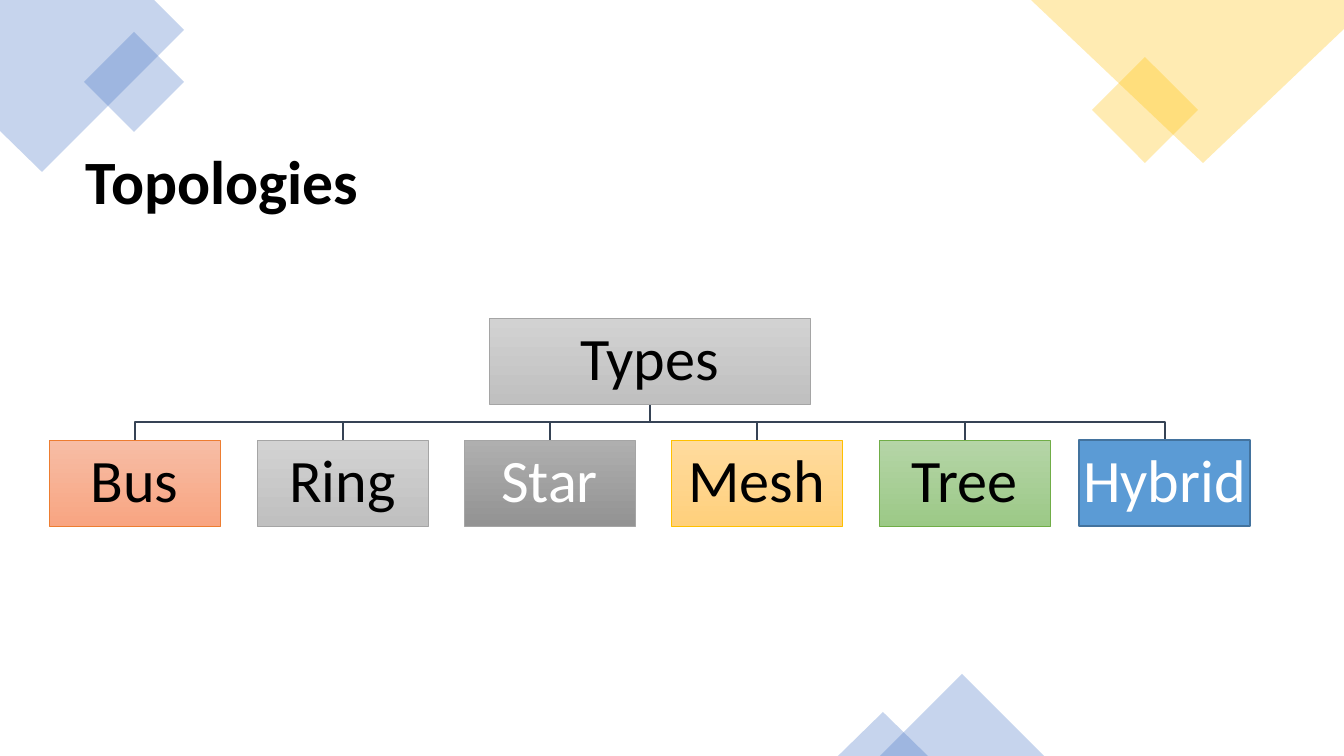
"""Build the network topologies slide."""
from lxml.etree import SubElement
from pptx import Presentation
from pptx.dml.color import RGBColor
from pptx.enum.shapes import MSO_SHAPE
from pptx.enum.text import MSO_ANCHOR, PP_ALIGN
from pptx.oxml.ns import qn
from pptx.util import Pt

PX = 914400 / 100.8
BOX_W, BOX_H = 171, 86
ROOT_Y, BUS_Y, ROW_Y = 318, 422, 440


def px(*values):
    return [round(v * PX) for v in values]


def rgb(color):
    return RGBColor.from_string(color)


prs = Presentation()
prs.slide_width, prs.slide_height = px(1344, 756)
s = prs.slides.add_slide(prs.slide_layouts[6])

corners = [
    ("4472C4", [(0, 0), (154, 0), (184, 30), (42, 172), (0, 131)]),
    ("4472C4", [(134, 32), (184, 82), (134, 132), (84, 82)]),
    ("FFC000", [(1145, 57), (1198, 110), (1145, 163), (1092, 110)]),
    ("FFC000", [(1031, 0), (1344, 0), (1344, 29), (1203, 163)]),
    ("4472C4", [(962, 674), (1044, 756), (880, 756)]),
    ("4472C4", [(883, 712), (928, 756), (838, 756)]),
]
for color, points in corners:
    builder = s.shapes.build_freeform(*points[0], scale=PX)
    builder.add_line_segments(points[1:], close=True)
    sp = builder.convert_to_shape()
    sp.shadow.inherit = False
    sp.fill.solid()
    sp.fill.fore_color.rgb = rgb(color)
    sp.line.fill.background()
    fill_color = sp.fill._xPr.find(qn("a:solidFill"))[0]
    SubElement(fill_color, qn("a:alpha"), val="30000")

title = s.shapes.add_textbox(*px(76, 91, 1219, 187))
tf = title.text_frame
tf.word_wrap = True
tf.vertical_anchor = MSO_ANCHOR.MIDDLE
p = tf.paragraphs[0]
p.text = "Topologies"
p.line_spacing = 0.9
p.font.name, p.font.size, p.font.bold = "Calibri", Pt(44), True
p.font.color.rgb = rgb("000000")

nodes = [
    ("Types", 489, ROOT_Y, 321, ("D2D2D2", "C0C0C0"), "A5A5A5", 0.5, "000000"),
    ("Bus", 49, ROW_Y, BOX_W, ("F7BDA5", "F8A582"), "ED7D31", 0.5, "000000"),
    ("Ring", 257, ROW_Y, BOX_W, ("D2D2D2", "C0C0C0"), "A5A5A5", 0.5, "000000"),
    ("Star", 464, ROW_Y, BOX_W, ("AFAFAF", "939393"), "A5A5A5", 0.5, "FFFFFF"),
    ("Mesh", 671, ROW_Y, BOX_W, ("FFDB9E", "FFD07C"), "FFC000", 0.5, "000000"),
    ("Hybrid", 1079, ROW_Y, BOX_W, ("5B9BD5",), "43739E", 1, "FFFFFF"),
    ("Tree", 879, ROW_Y, BOX_W, ("B5D5A7", "9CC987"), "70AD47", 0.5, "000000"),
]

root_x, *child_xs = [x + (w + 1) // 2 for _, x, _, w, *_ in nodes]
for child_x in child_xs:
    builder = s.shapes.build_freeform(root_x, ROOT_Y + BOX_H, scale=PX)
    bends = [(root_x, BUS_Y), (child_x, BUS_Y), (child_x, ROW_Y)]
    builder.add_line_segments(bends, close=False)
    sp = builder.convert_to_shape()
    sp.shadow.inherit = False
    sp.fill.background()
    sp.line.color.rgb = rgb("364355")
    sp.line.width = Pt(1)

for name, x, y, w, fills, border, weight, ink in nodes:
    sp = s.shapes.add_shape(MSO_SHAPE.RECTANGLE, *px(x, y, w, BOX_H))
    sp.shadow.inherit = False
    if len(fills) == 1:
        sp.fill.solid()
        sp.fill.fore_color.rgb = rgb(fills[0])
    else:
        sp.fill.gradient()
        sp.fill.gradient_angle = 270
        for stop, color in zip(sp.fill.gradient_stops, fills):
            stop.color.rgb = rgb(color)
    sp.line.color.rgb = rgb(border)
    sp.line.width = Pt(weight)
    tf = sp.text_frame
    tf.word_wrap = True
    tf.vertical_anchor = MSO_ANCHOR.MIDDLE
    tf.margin_left, tf.margin_top, tf.margin_right, tf.margin_bottom = px(3, 3, 3, 3)
    p = tf.paragraphs[0]
    p.text = name
    p.alignment = PP_ALIGN.CENTER
    p.line_spacing = 0.9
    p.font.name, p.font.size = "Calibri", Pt(43)
    p.font.color.rgb = rgb(ink)

prs.save("out.pptx")
